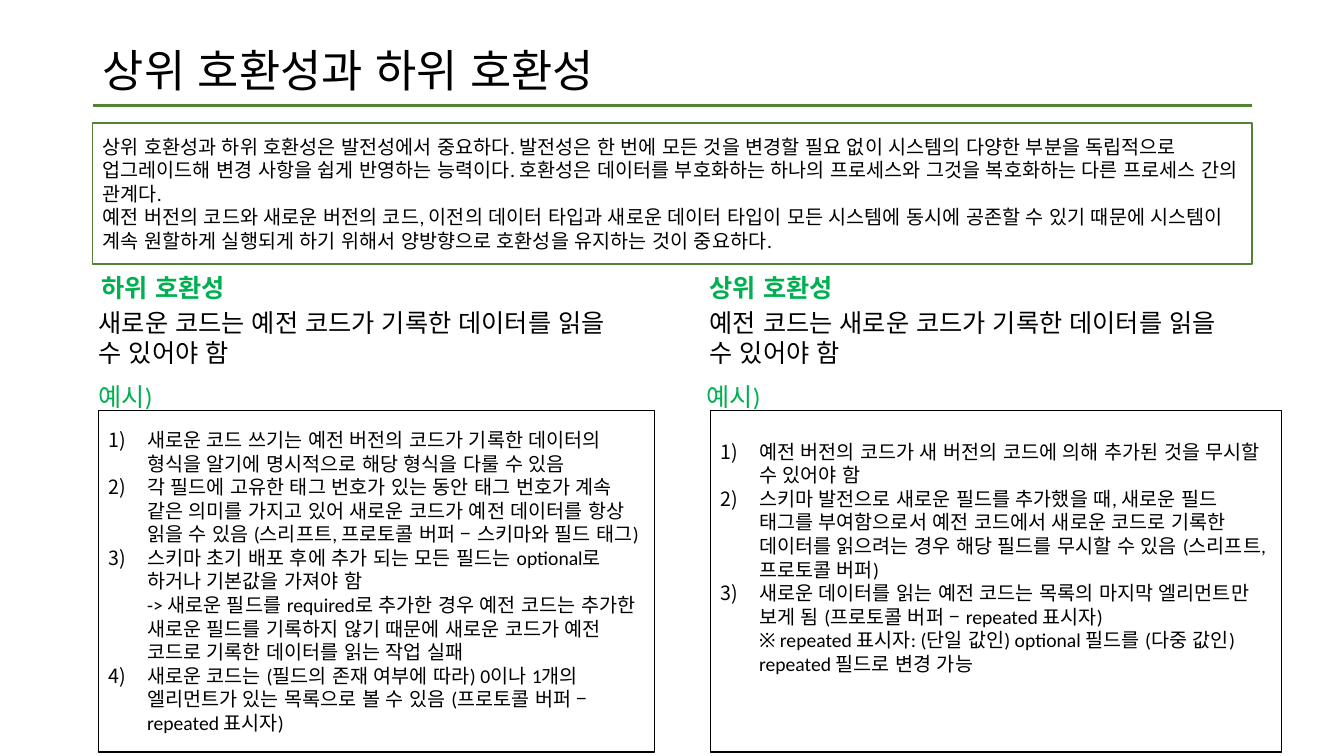
from lxml import etree
from pptx import Presentation
from pptx.dml.color import RGBColor
from pptx.enum.lang import MSO_LANGUAGE_ID as Lang
from pptx.enum.shapes import MSO_CONNECTOR as Connector, MSO_SHAPE as Shape
from pptx.enum.text import MSO_ANCHOR as Anchor, PP_ALIGN as Align
from pptx.oxml.ns import qn
from pptx.util import Inches, Pt

BLACK = RGBColor(0x00, 0x00, 0x00)
GREEN = RGBColor(0x00, 0xB0, 0x50)
RULE_GREEN = RGBColor(0x54, 0x82, 0x35)
BORDER_GREEN = RGBColor(0x53, 0x82, 0x34)


def write(shape, paragraphs, size, color=BLACK, bold=False, align=Align.LEFT, numbered=False):
    frame = shape.text_frame
    frame.word_wrap = True
    frame.vertical_anchor = Anchor.MIDDLE
    for index, words in enumerate(paragraphs):
        paragraph = frame.add_paragraph() if index else frame.paragraphs[0]
        paragraph.text = words
        paragraph.alignment = align
        if numbered:
            props = paragraph._p.get_or_add_pPr()
            props.set("marL", str(Inches(0.38)))
            props.set("indent", str(-Inches(0.38)))
            etree.SubElement(props, qn("a:buFont"), typeface="+mj-lt")
            etree.SubElement(props, qn("a:buAutoNum"), type="arabicParenR")
        font = paragraph.font
        font.name = "Calibri"
        font.size = Pt(size)
        font.bold = bold
        font.color.rgb = color
        font.language_id = Lang.KOREAN


def add_frame(left, top, width, height, border):
    """Add an unfilled rectangle with a thin border."""
    frame = slide.shapes.add_shape(
        Shape.RECTANGLE, Inches(left), Inches(top), Inches(width), Inches(height))
    frame.shadow.inherit = False
    frame.fill.background()
    frame.line.color.rgb = border
    frame.line.width = Pt(1)
    return frame


prs = Presentation()
prs.slide_width, prs.slide_height = Inches(13.33), Inches(7.5)
slide = prs.slides.add_slide(prs.slide_layouts[5])

rule = slide.shapes.add_connector(
    Connector.STRAIGHT, Inches(0.92), Inches(1.05), Inches(12.42), Inches(1.05))
rule.line.color.rgb = RULE_GREEN
rule.line.width = Pt(2.25)
etree.SubElement(rule._element.spPr, qn("a:effectLst"))

title = slide.shapes.title
title.left, title.top = Inches(0.92), Inches(0.4)
title.width, title.height = Inches(11.5), Inches(0.65)
write(title, ["상위 호환성과 하위 호환성"], 32)
title.text_frame.paragraphs[0].line_spacing = 0.9

summary = add_frame(0.92, 1.22, 11.5, 1.4, BORDER_GREEN)
write(summary, [
    "상위 호환성과 하위 호환성은 발전성에서 중요하다. 발전성은 한 번에 모든 것을 변경할 필요 없이 "
    "시스템의 다양한 부분을 독립적으로 업그레이드해 변경 사항을 쉽게 반영하는 능력이다. 호환성은 "
    "데이터를 부호화하는 하나의 프로세스와 그것을 복호화하는 다른 프로세스 간의 관계다.",
    "예전 버전의 코드와 새로운 버전의 코드, 이전의 데이터 타입과 새로운 데이터 타입이 모든 시스템에 "
    "동시에 공존할 수 있기 때문에 시스템이 계속 원할하게 실행되게 하기 위해서 양방향으로 호환성을 "
    "유지하는 것이 중요하다.",
], 14)

backward_examples = [
    "새로운 코드 쓰기는 예전 버전의 코드가 기록한 데이터의 형식을 알기에 명시적으로 해당 형식을 다룰 수 있음",
    "각 필드에 고유한 태그 번호가 있는 동안 태그 번호가 계속 같은 의미를 가지고 있어 새로운 코드가 "
    "예전 데이터를 항상 읽을 수 있음 (스리프트, 프로토콜 버퍼 – 스키마와 필드 태그)",
    "스키마 초기 배포 후에 추가 되는 모든 필드는 optional로 하거나 기본값을 가져야 함\n"
    "-> 새로운 필드를 required로 추가한 경우 예전 코드는 추가한 새로운 필드를 기록하지 않기 때문에 "
    "새로운 코드가 예전 코드로 기록한 데이터를 읽는 작업 실패",
    "새로운 코드는 (필드의 존재 여부에 따라) 0이나 1개의 엘리먼트가 있는 목록으로 볼 수 있음 "
    "(프로토콜 버퍼 – repeated 표시자)",
]
forward_examples = [
    "예전 버전의 코드가 새 버전의 코드에 의해 추가된 것을 무시할 수 있어야 함",
    "스키마 발전으로 새로운 필드를 추가했을 때, 새로운 필드 태그를 부여함으로서 예전 코드에서 새로운 "
    "코드로 기록한 데이터를 읽으려는 경우 해당 필드를 무시할 수 있음 (스리프트, 프로토콜 버퍼)",
    "새로운 데이터를 읽는 예전 코드는 목록의 마지막 엘리먼트만 보게 됨 (프로토콜 버퍼 – repeated 표시자)\n"
    "※ repeated 표시자: (단일 값인) optional 필드를 (다중 값인) repeated 필드로 변경 가능",
]

# heading, heading left, rule, rule left, label left, box left, box width, bottom inset, examples
columns = [
    ("하위 호환성", 0.91, "새로운 코드는 예전 코드가 기록한 데이터를 읽을 수 있어야 함", 0.88,
     0.62, 0.98, 5.51, 0.05, backward_examples),
    ("상위 호환성", 6.94, "예전 코드는 새로운 코드가 기록한 데이터를 읽을 수 있어야 함", 6.94,
     6.65, 7.05, 5.66, 0.52, forward_examples),
]
for (heading, heading_left, definition, definition_left,
     label_left, box_left, box_width, bottom_inset, examples) in columns:
    example_box = add_frame(box_left, 4.07, box_width, 3.39, BLACK)
    example_box.text_frame.margin_bottom = Inches(bottom_inset)
    write(example_box, examples, 14, numbered=True)

    for words, left, top, width, color, bold, align in [
        (heading, heading_left, 2.54, 4.84, GREEN, True, Align.LEFT),
        (definition, definition_left, 3.03, 5.51, BLACK, False, Align.LEFT),
        ("예시)", label_left, 3.62, 1.25, GREEN, False, Align.CENTER),
    ]:
        caption = slide.shapes.add_textbox(Inches(left), Inches(top), Inches(width), Inches(0.63))
        write(caption, [words], 18, color, bold, align)

prs.save("out.pptx")
